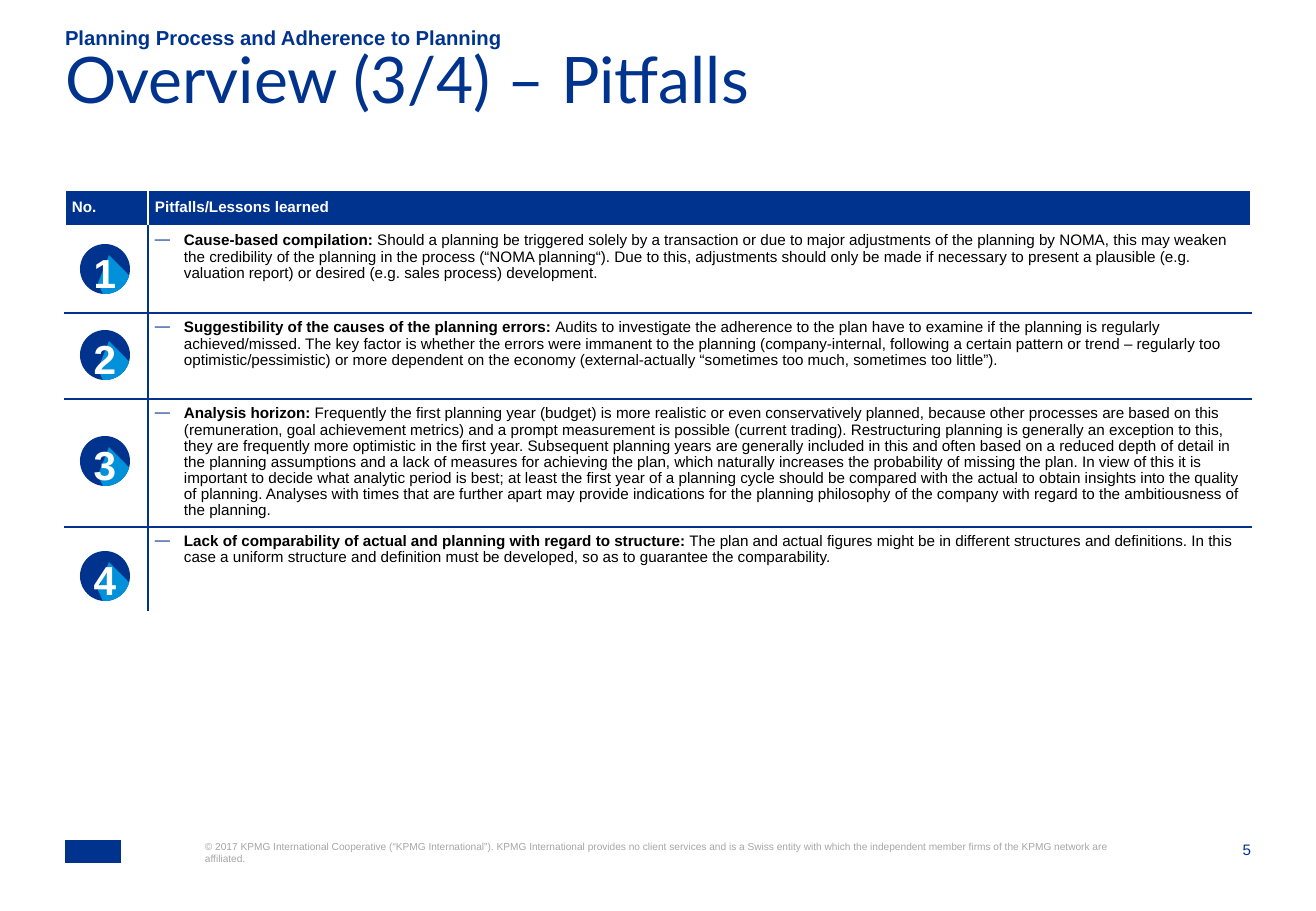
from math import cos, radians, sin

from lxml import etree
from pptx import Presentation
from pptx.dml.color import RGBColor
from pptx.enum.shapes import MSO_SHAPE
from pptx.enum.text import MSO_ANCHOR, MSO_AUTO_SIZE, PP_ALIGN
from pptx.oxml.ns import qn
from pptx.util import Pt

RECT, OVAL = MSO_SHAPE.RECTANGLE, MSO_SHAPE.OVAL
TOP, MIDDLE, BOTTOM = MSO_ANCHOR.TOP, MSO_ANCHOR.MIDDLE, MSO_ANCHOR.BOTTOM
LEFT, CENTER, RIGHT = PP_ALIGN.LEFT, PP_ALIGN.CENTER, PP_ALIGN.RIGHT
FIXED = MSO_AUTO_SIZE.NONE

KICKER = "Planning Process and Adherence to Planning"
TITLE = "Overview (3/4) – Pitfalls"
HEADS = ["No.", "Pitfalls/Lessons learned"]
PITFALLS = [
    ("Cause-based compilation: ",
     "Should a planning be triggered solely by a transaction or due to major adjustments of the planning by NOMA, this may weaken the credibility of the planning in the process (“NOMA planning“).",
     "Due to this, adjustments should only be made if necessary to present a plausible (e.g. valuation report) or desired (e.g. sales process) development."),
    ("Suggestibility of the causes of the planning errors: ",
     "Audits to investigate the adherence to the plan have to examine if the planning is regularly achieved/missed.",
     "The key factor is whether the errors were immanent to the planning (company-internal, following a certain pattern or trend – regularly too optimistic/pessimistic) or more dependent on the economy (external-actually “sometimes too much, sometimes too little”)."),
    ("Analysis horizon: ",
     "Frequently the first planning year (budget) is more realistic or even conservatively planned, because other processes are based on this (remuneration, goal achievement metrics) and a prompt measurement is possible (current trading).",
     "Restructuring planning is generally an exception to this, they are frequently more optimistic in the first year.",
     "Subsequent planning years are generally included in this and often based on a reduced depth of detail in the planning assumptions and a lack of measures for achieving the plan, which naturally increases the probability of missing the plan.",
     "In view of this it is important to decide what analytic period is best; at least the first year of a planning cycle should be compared with the actual to obtain insights into the quality of planning.",
     "Analyses with times that are further apart may provide indications for the planning philosophy of the company with regard to the ambitiousness of the planning."),
    ("Lack of comparability of actual and planning with regard to structure: ",
     "The plan and actual figures might be in different structures and definitions.",
     "In this case a uniform structure and definition must be developed, so as to guarantee the comparability."),
]
LEGAL = "© 2017 KPMG International Cooperative (“KPMG International”). KPMG International provides no client services and is a Swiss entity with which the independent member firms of the KPMG network are affiliated."
PAGE = "5"

THEME = {
    "navy": "00338D", "sky": "0091DA", "white": "FFFFFF",
    "black": "000000", "grey": "A6A6A6",
    "sans": "Arial", "display": "Lato",
    "title": 38, "badge": 24, "kicker": 12, "body": 9, "legal": 6,
}
SCALE = 7526
EDGE, TABLE_TOP = 65, 190
COLS, ROWS = [83, 1103], [36, 87, 86, 128, 85]
BADGE_X, BADGE_YS, RADIUS = 105, [269, 355, 461, 576], 25
PAD, INDENT = 7, 29


def px(n):
    return round(n * SCALE)


def apply(item, **values):
    for name, value in values.items():
        setattr(item, name, value)


def write(par, text, size, color, face="sans", bold=False):
    run = par.add_run()
    run.text = text
    apply(run.font, size=Pt(THEME[size]), name=THEME[face], bold=bold)
    run.font.color.rgb = RGBColor.from_string(THEME[color])


def set_frame(frame, anchor=TOP, align=LEFT):
    apply(frame, margin_left=0, margin_right=0, margin_top=0, margin_bottom=0,
          word_wrap=True, auto_size=FIXED, vertical_anchor=anchor)
    par = frame.paragraphs[0]
    apply(par, alignment=align, space_before=Pt(0))
    return par


def place(shape, left, top, width, height):
    apply(shape, left=px(left), top=px(top), width=px(width), height=px(height))


def add_text(shapes, box, align=LEFT, anchor=TOP):
    return set_frame(shapes.add_textbox(*map(px, box)).text_frame, anchor, align)


def paint(shape, color):
    shape.shadow.inherit = False
    shape.fill.solid()
    shape.fill.fore_color.rgb = RGBColor.from_string(THEME[color])
    shape.line.fill.background()


def add_color(node, color):
    etree.SubElement(node, qn("a:srgbClr"), val=THEME[color])


def add_dash(par):
    props = par._p.get_or_add_pPr()
    props.set("marL", str(px(INDENT)))
    props.set("indent", str(-px(INDENT)))
    add_color(etree.SubElement(props, qn("a:buClr")), "navy")
    etree.SubElement(props, qn("a:buChar"), char="—")


def set_cell(cell, fill, sides, anchor):
    props = cell._tc.get_or_add_tcPr()
    for side, color in zip("LRTB", sides):
        line = etree.SubElement(props, qn("a:ln" + side), w=str(Pt(1)))
        add_color(etree.SubElement(line, qn("a:solidFill")), color)
    cell.fill.solid()
    cell.fill.fore_color.rgb = RGBColor.from_string(THEME[fill])
    apply(cell, margin_left=px(PAD), margin_right=px(PAD), margin_top=px(PAD),
          margin_bottom=px(PAD), vertical_anchor=anchor)
    par = cell.text_frame.paragraphs[0]
    par.line_spacing = 0.95
    return par


def add_grid(slide):
    frame = slide.shapes.add_table(len(ROWS), len(COLS), px(EDGE), px(TABLE_TOP),
                                   px(sum(COLS)), px(sum(ROWS)))
    grid = frame.table
    for col, width in zip(grid.columns, COLS):
        col.width = px(width)
    for row, height in zip(grid.rows, ROWS):
        row.height = px(height)
    for c, head in enumerate(HEADS):
        par = set_cell(grid.cell(0, c), "navy", ["white"] * 4, MIDDLE)
        write(par, head, "body", "white", bold=True)
    for r, (lead, *parts) in enumerate(PITFALLS, 1):
        over = "white" if r == 1 else "navy"
        under = "white" if r == len(PITFALLS) else "navy"
        set_cell(grid.cell(r, 0), "white", ["white", "navy", over, under], TOP)
        par = set_cell(grid.cell(r, 1), "white", ["navy", "white", over, under], TOP)
        add_dash(par)
        par.space_after = Pt(2 if r == 1 else 4)
        write(par, lead, "body", "black", bold=True)
        write(par, " ".join(parts), "body", "black")


def add_badge(slide, label, mid):
    shapes = slide.shapes.add_group_shape().shapes
    box = (BADGE_X - RADIUS, mid - RADIUS, 2 * RADIUS, 2 * RADIUS)
    paint(shapes.add_shape(OVAL, *map(px, box)), "navy")
    arc = [(BADGE_X + RADIUS * cos(radians(a)), mid + RADIUS * sin(radians(a)))
           for a in range(15, 96, 5)]
    wedge = shapes.build_freeform(px(BADGE_X + 4), px(mid - 14), scale=1.0)
    points = arc + [(BADGE_X - 7, mid + 14)]
    wedge.add_line_segments([(px(x), px(y)) for x, y in points], close=True)
    paint(wedge.convert_to_shape(), "sky")
    par = add_text(shapes, (box[0], box[1] + 3, box[2], box[3]), CENTER, MIDDLE)
    write(par, label, "badge", "white", bold=True)


def main():
    deck = Presentation()
    apply(deck, slide_width=px(1316), slide_height=px(911))
    slide = deck.slides.add_slide(deck.slide_layouts[1])
    title, kicker = slide.placeholders
    place(kicker, EDGE, 27, 1142, 23)
    par = set_frame(kicker.text_frame, BOTTOM)
    props = par._p.get_or_add_pPr()
    props.set("marL", "0")
    props.set("indent", "0")
    etree.SubElement(props, qn("a:buNone"))
    write(par, KICKER, "kicker", "navy", bold=True)
    place(title, EDGE, 60, 1186, 96)
    par = set_frame(title.text_frame)
    par.line_spacing = 0.7
    write(par, TITLE, "title", "navy", "display")
    add_grid(slide)
    for n, mid in enumerate(BADGE_YS, 1):
        add_badge(slide, str(n), mid)
    paint(slide.shapes.add_shape(RECT, px(EDGE), px(840), px(56), px(23)), "navy")
    write(add_text(slide.shapes, (205, 840, 910, 50)), LEGAL, "legal", "grey")
    write(add_text(slide.shapes, (1199, 840, 52, 19), RIGHT), PAGE, "body", "navy")
    deck.save("out.pptx")


if __name__ == "__main__":
    main()
